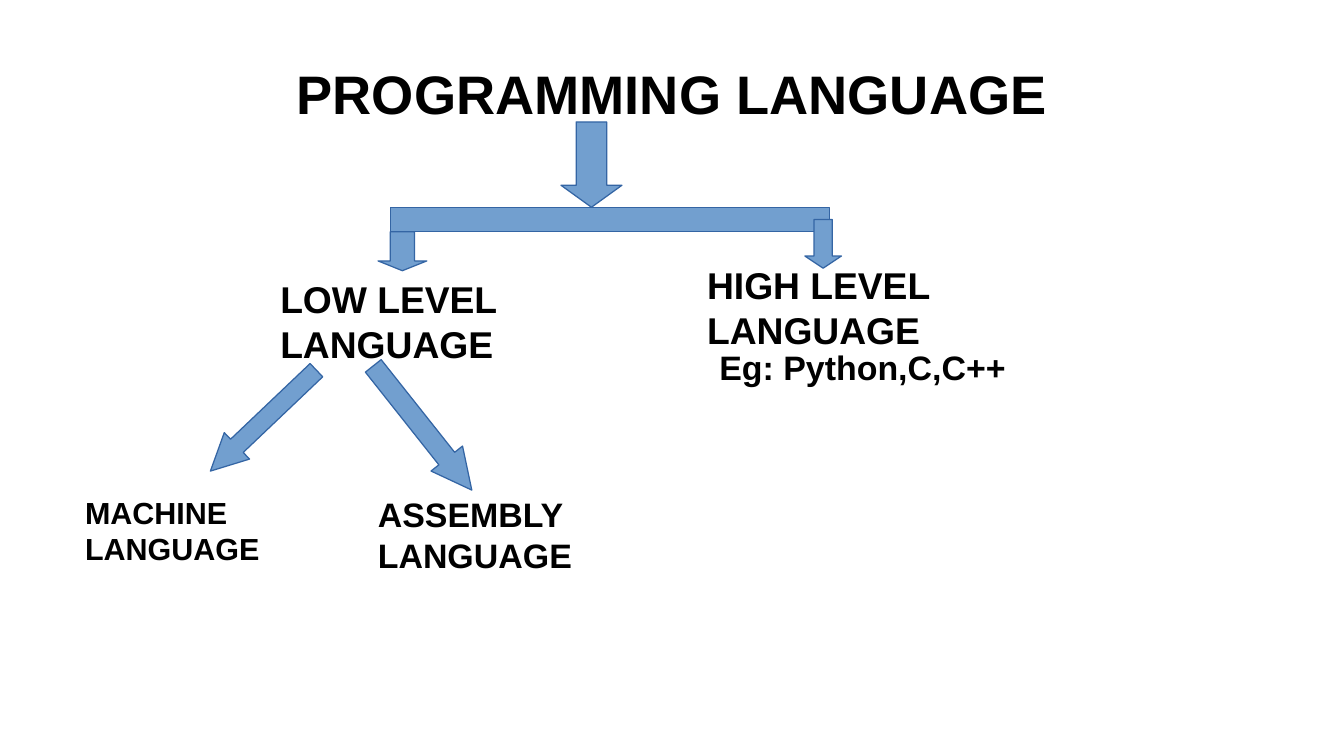
from dataclasses import dataclass

import pptx
import pptx.dml.color
import pptx.enum.shapes
import pptx.enum.text
import pptx.util

Inches = pptx.util.Inches
Shapes = pptx.enum.shapes.MSO_SHAPE


@dataclass
class Theme:
    font: str = "Arial"
    ink: str = "000000"
    fill: str = "729FCF"
    outline: str = "3465A4"
    outline_width: float = 0.75
    title: int = 32
    level: int = 22
    kind: int = 20
    small: int = 18


class SlideBuilder:
    def __init__(self, presentation, theme):
        self.theme = theme
        self.slide = presentation.slides.add_slide(presentation.slide_layouts[5])

    def color(self, value):
        return pptx.dml.color.RGBColor.from_string(value)

    def set_text(self, text_frame, text, size):
        text_frame.word_wrap = True
        text_frame.text = text
        font = text_frame.paragraphs[0].runs[0].font
        font.name = self.theme.font
        font.size = pptx.util.Pt(size)
        font.bold = True
        font.color.rgb = self.color(self.theme.ink)

    def title(self, text, left, top, width, height):
        shape = self.slide.shapes.title
        shape.left, shape.top = Inches(left), Inches(top)
        shape.width, shape.height = Inches(width), Inches(height)
        frame = shape.text_frame
        frame.margin_left = frame.margin_right = 0
        frame.margin_top = frame.margin_bottom = 0
        frame.vertical_anchor = pptx.enum.text.MSO_ANCHOR.MIDDLE
        self.set_text(frame, text, self.theme.title)
        frame.paragraphs[0].alignment = pptx.enum.text.PP_ALIGN.CENTER

    def label(self, text, size, left, top, width, height):
        box = self.slide.shapes.add_textbox(
            Inches(left), Inches(top), Inches(width), Inches(height))
        self.set_text(box.text_frame, text, size)

    def block(self, kind, left, top, width, height):
        shape = self.slide.shapes.add_shape(
            kind, Inches(left), Inches(top), Inches(width), Inches(height))
        shape.shadow.inherit = False
        shape.fill.solid()
        shape.fill.fore_color.rgb = self.color(self.theme.fill)
        shape.line.color.rgb = self.color(self.theme.outline)
        shape.line.width = pptx.util.Pt(self.theme.outline_width)
        return shape

    def arrow(self, left, top, width, height, head, rotation=0):
        """Down arrow with a half-width shaft; head is the head's length in inches."""
        shape = self.block(Shapes.DOWN_ARROW, left, top, width, height)
        shape.adjustments[0] = 0.5
        shape.adjustments[1] = head / min(width, height)
        shape.rotation = rotation


def main():
    presentation = pptx.Presentation()
    presentation.slide_width = Inches(11.02)
    presentation.slide_height = Inches(6.2)
    theme = Theme()
    builder = SlideBuilder(presentation, theme)

    builder.title("PROGRAMMING LANGUAGE", 0.55, 0.25, 9.92, 1.03)
    builder.label("LOW LEVEL LANGUAGE", theme.level, 2.2, 2.22, 2.2, 0.78)
    builder.label("HIGH LEVEL LANGUAGE", theme.level, 5.7, 2.1, 2.9, 0.78)

    builder.arrow(4.6, 1, 0.5, 0.7, head=0.18)
    builder.block(Shapes.RECTANGLE, 3.2, 1.7, 3.6, 0.2)
    builder.arrow(3.1, 1.9, 0.4, 0.32, head=0.08)
    builder.arrow(6.6, 1.8, 0.3, 0.4, head=0.1)

    builder.label("MACHINE LANGUAGE", theme.small, 0.6, 4, 2.1, 0.7)
    builder.label("ASSEMBLY LANGUAGE", theme.kind, 3, 4, 2.2, 0.72)
    builder.arrow(2.01, 2.85, 0.3, 1.2, head=0.3, rotation=46.4)
    builder.arrow(3.3, 2.86, 0.33, 1.3, head=0.33, rotation=321.6)
    builder.label("Eg: Python,C,C++", theme.kind, 5.8, 2.79, 2.8, 0.41)

    presentation.save("out.pptx")


if __name__ == "__main__":
    main()
